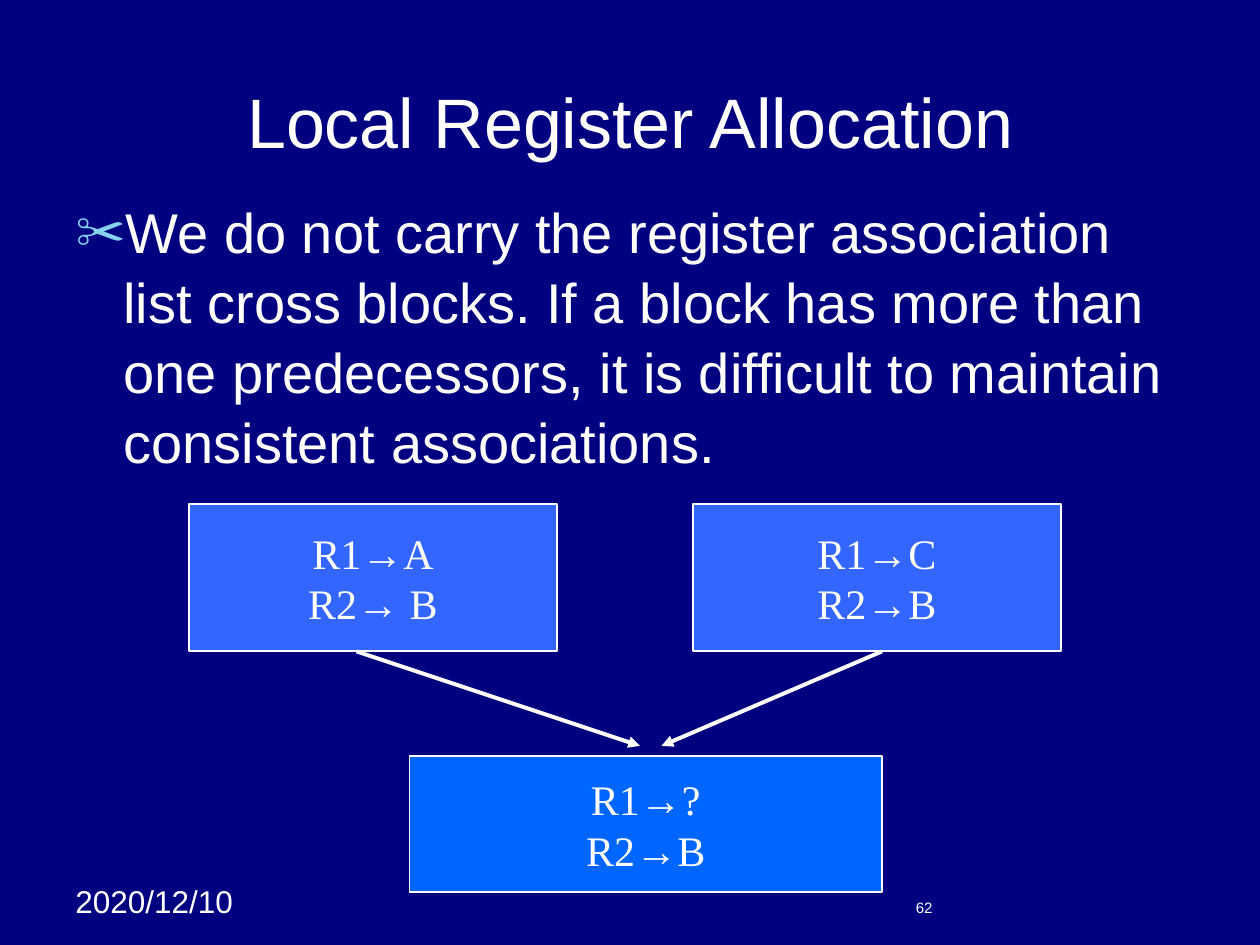
"""Build the slide on local register allocation across blocks."""
from lxml import etree
from pptx import Presentation
from pptx.dml.color import RGBColor
from pptx.enum.shapes import MSO_CONNECTOR, MSO_SHAPE
from pptx.enum.text import MSO_ANCHOR, MSO_AUTO_SIZE, PP_ALIGN
from pptx.oxml.ns import qn
from pptx.util import Inches, Pt

CENTER, LEFT = PP_ALIGN.CENTER, PP_ALIGN.LEFT
MIDDLE, NO_FIT = MSO_ANCHOR.MIDDLE, MSO_AUTO_SIZE.NONE
RECT, STRAIGHT = MSO_SHAPE.RECTANGLE, MSO_CONNECTOR.STRAIGHT
NAVY = RGBColor(0x00, 0x00, 0x80)
WHITE = RGBColor(0xFF, 0xFF, 0xFF)
BLUE = RGBColor(0x33, 0x66, 0xFF)
BRIGHT = RGBColor(0x00, 0x66, 0xFF)
SKY = RGBColor(0x86, 0xD1, 0xEC)
SANS, SERIF = "Arial", "Times New Roman"

TITLE = "Local Register Allocation"
BODY = ("We do not carry the register association list cross blocks. "
        "If a block has more than one predecessors, it is difficult to "
        "maintain consistent associations.")
FOOTERS = [("2020/12/10", 18, (0.5, 6.95, 1.58, 0.7)),
           ("62", 8.6, (7.17, 7.08, 2.33, 0.27))]
TOP, SIZE = 4, (2.92, 1.17)
BLOCKS = [((1.5, TOP, *SIZE), BLUE, [("R1", "A"), ("R2", " B")]),
          ((5.5, TOP, *SIZE), BLUE, [("R1", "C"), ("R2", "B")]),
          ((3.25, 6, 3.75, 1.08), BRIGHT, [("R1", "?"), ("R2", "B")])]
ARROWS = [(2.83, 5.08), (7, 5.25)]
ARROW_TOP, ARROW_END = TOP + SIZE[1], 5.92


def inches(box):
    return [Inches(v) for v in box]


def add_run(p, text, size, font=SANS):
    r = p.add_run()
    r.text = text
    r.font.size, r.font.name = Pt(size), font
    r.font.color.rgb = WHITE


def fill_placeholder(s, box, text, size, align):
    s.left, s.top, s.width, s.height = inches(box)
    tf = s.text_frame
    tf.auto_size = NO_FIT
    p = tf.paragraphs[0]
    p.alignment, p.space_before = align, Pt(0)
    add_run(p, text, size)
    return p


def add_bullet(p, char, color, percent, indent):
    pPr = p._p.get_or_add_pPr()
    pPr.set("marL", str(Inches(indent)))
    pPr.set("indent", str(-Inches(indent)))
    clr = etree.SubElement(pPr, qn("a:buClr"))
    etree.SubElement(clr, qn("a:srgbClr"), val=str(color))
    etree.SubElement(pPr, qn("a:buSzPct"), val=str(percent * 1000))
    etree.SubElement(pPr, qn("a:buFont"), typeface=SANS)
    etree.SubElement(pPr, qn("a:buChar"), char=char)


def add_block(shapes, box, color, rows):
    s = shapes.add_shape(RECT, *inches(box))
    s.shadow.inherit = False
    s.fill.solid()
    s.fill.fore_color.rgb = color
    s.line.color.rgb, s.line.width = WHITE, Pt(1)
    tf = s.text_frame
    tf.word_wrap, tf.vertical_anchor = False, MIDDLE
    for i, (register, value) in enumerate(rows):
        p = tf.add_paragraph() if i else tf.paragraphs[0]
        p.alignment = CENTER
        for text, font in ((register, SERIF), ("→", SANS), (value, SERIF)):
            add_run(p, text, 24, font)


def add_arrow(shapes, x1, x2):
    c = shapes.add_connector(STRAIGHT, *inches((x1, ARROW_TOP, x2, ARROW_END)))
    c.line.color.rgb, c.line.width = WHITE, Pt(2.25)
    etree.SubElement(c.line._get_or_add_ln(), qn("a:tailEnd"), type="triangle")
    etree.SubElement(c._element.spPr, qn("a:effectLst"))


def main():
    prs = Presentation()
    prs.slide_width, prs.slide_height = Inches(10), Inches(7.5)
    slide = prs.slides.add_slide(prs.slide_layouts[1])
    slide.background.fill.solid()
    slide.background.fill.fore_color.rgb = NAVY
    shapes = slide.shapes

    fill_placeholder(shapes.title, (0.5, 0.58, 9, 0.75), TITLE, 40, CENTER)
    shapes.title.text_frame.vertical_anchor = MIDDLE
    p = fill_placeholder(slide.placeholders[1], (0.5, 1.5, 9.08, 5.58),
                         BODY, 32, LEFT)
    p.line_spacing = 1.04
    add_bullet(p, "✂", SKY, 90, 0.38)

    for text, size, box in FOOTERS:
        tf = shapes.add_textbox(*inches(box)).text_frame
        tf.word_wrap = True
        add_run(tf.paragraphs[0], text, size)
    for block in BLOCKS:
        add_block(shapes, *block)
    for arrow in ARROWS:
        add_arrow(shapes, *arrow)
    prs.save("out.pptx")


if __name__ == "__main__":
    main()
